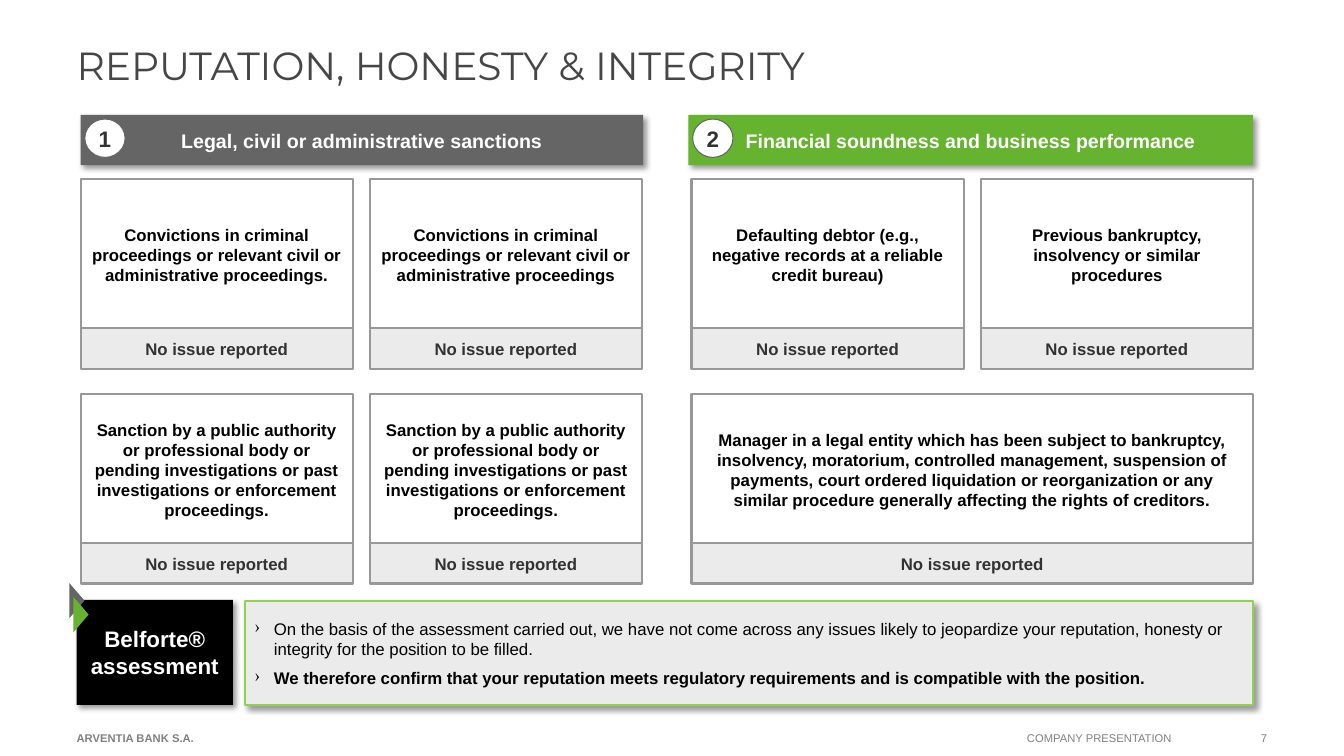
from lxml.etree import SubElement
from pptx import Presentation
from pptx.dml.color import RGBColor
from pptx.enum.shapes import MSO_SHAPE
from pptx.enum.text import MSO_ANCHOR, PP_ALIGN
from pptx.oxml.ns import qn
from pptx.util import Pt

WHITE = RGBColor(0xFF, 0xFF, 0xFF)
BLACK = RGBColor(0, 0, 0)
INK = RGBColor(0x32, 0x32, 0x32)
TITLE = RGBColor(0x46, 0x46, 0x46)
SLATE = RGBColor(0x65, 0x65, 0x65)
GREY = RGBColor(0x80, 0x80, 0x80)
EDGE = RGBColor(0x98, 0x98, 0x98)
PALE = RGBColor(0xEB, 0xEB, 0xEB)
GREEN = RGBColor(0x65, 0xB3, 0x2E)
LIME = RGBColor(0x92, 0xD0, 0x50)

CARD, GAP = 194.4, 12.2
WIDE = 2 * CARD + GAP
BODY, STRIP = 108, 28.8
PITCH = 153.5

CONVICT = ("Convictions in criminal proceedings or relevant civil or "
           "administrative proceedings")
SANCTION = ("Sanction by a public authority or professional body or pending "
            "investigations or past investigations or enforcement proceedings.")
LEFT = [[CONVICT + ".", CONVICT], [SANCTION, SANCTION]]
RIGHT = [
    ["Defaulting debtor (e.g., negative records at a reliable credit bureau)",
     "Previous bankruptcy, insolvency or similar procedures"],
    ["Manager in a legal entity which has been subject to bankruptcy, "
     "insolvency, moratorium, controlled management, suspension of payments, "
     "court ordered liquidation or reorganization or any similar procedure "
     "generally affecting the rights of creditors."],
]
FINDINGS = [
    ("On the basis of the assessment carried out, we have not come across any "
     "issues likely to jeopardize your reputation, honesty or integrity for "
     "the position to be filled.", False),
    ("We therefore confirm that your reputation meets regulatory requirements "
     "and is compatible with the position.", True),
]


def inset(frame, left, top, right, bottom):
    frame.margin_left, frame.margin_top = Pt(left), Pt(top)
    frame.margin_right, frame.margin_bottom = Pt(right), Pt(bottom)


def write(para, text, size, color, bold=False, face="Arial"):
    run = para.add_run()
    run.text = text
    font = run.font
    font.name, font.size, font.bold = face, Pt(size), bold
    font.color.rgb = color


def shade(shape):
    """Give the shape a soft shadow to the lower right."""
    props = shape.element.spPr
    props.remove(props.find(qn("a:effectLst")))
    cast = SubElement(SubElement(props, qn("a:effectLst")), qn("a:outerShdw"),
                      blurRad=str(Pt(4)), dist=str(Pt(3)), dir="2700000",
                      algn="tl", rotWithShape="0")
    tint = SubElement(cast, qn("a:srgbClr"), val="000000")
    SubElement(tint, qn("a:alpha"), val="40000")


def block(slide, box, fill, line=None, width=1.5, kind=MSO_SHAPE.RECTANGLE):
    shape = slide.shapes.add_shape(kind, *map(Pt, box))
    shape.shadow.inherit = False
    shape.fill.solid()
    shape.fill.fore_color.rgb = fill
    if line is None:
        shape.line.fill.background()
    else:
        shape.line.color.rgb = line
        shape.line.width = Pt(width)
    shape.text_frame.word_wrap = True
    shape.text_frame.vertical_anchor = MSO_ANCHOR.MIDDLE
    return shape


def label(shape, text, size, color):
    para = shape.text_frame.paragraphs[0]
    para.alignment = PP_ALIGN.CENTER
    write(para, text, size, color, True)
    return para


def note(slide, box, text, size, color, pad, bold=False, face="Arial",
         anchor=MSO_ANCHOR.MIDDLE, align=PP_ALIGN.LEFT):
    frame = slide.shapes.add_textbox(*map(Pt, box)).text_frame
    frame.word_wrap = True
    frame.vertical_anchor = anchor
    inset(frame, *pad)
    frame.paragraphs[0].alignment = align
    write(frame.paragraphs[0], text, size, color, bold, face)


def header(slide, box, number, text, fill):
    left, top = box[:2]
    bar = block(slide, box, fill)
    shade(bar)
    label(bar, text, 14, WHITE).line_spacing = 1.07
    badge = block(slide, (left + 3, top + 3, 28.8, 27.4), WHITE, SLATE, 0.75,
                  MSO_SHAPE.OVAL)
    inset(badge.text_frame, 0, 0, 0, 0)
    label(badge, number, 16, INK)


def card(slide, left, top, width, text):
    """Place a criterion with its result strip below."""
    body = block(slide, (left, top, width, BODY), WHITE, EDGE)
    label(body, text, 12, BLACK)
    strip = block(slide, (left, top + BODY - 1.5, width, STRIP), PALE, EDGE)
    label(strip, "No issue reported", 12, INK)


def grid(slide, left, top, rows):
    for i, row in enumerate(rows):
        width = WIDE if len(row) == 1 else CARD
        for j, text in enumerate(row):
            card(slide, left + j * (CARD + GAP), top + i * PITCH, width, text)


def verdict(slide, left, top):
    panel = block(slide, (left + 120.2, top + 1, 720, 74.2), PALE, LIME)
    shade(panel)
    frame = panel.text_frame
    for i, (text, bold) in enumerate(FINDINGS):
        para = frame.add_paragraph() if i else frame.paragraphs[0]
        props = para._p.get_or_add_pPr()
        props.set("marL", str(Pt(13.7)))
        props.set("indent", str(-Pt(13.7)))
        tint = SubElement(props, qn("a:buClr"))
        SubElement(tint, qn("a:srgbClr"), val=str(BLACK))
        SubElement(props, qn("a:buChar"), char="›")
        para.alignment = PP_ALIGN.LEFT
        if i:
            para.space_before = Pt(6)
        write(para, text, 12, BLACK, bold)

    tag = block(slide, (left, top, 111.6, 74.9), BLACK)
    shade(tag)
    inset(tag.text_frame, 2, 2, 2, 2)
    label(tag, "Belforte® assessment", 16, WHITE)
    for across, down, fill in ((-12.4, -5, SLATE), (-9.4, 5, GREEN)):
        arrow = block(slide, (left + across, top + down, 25.2, 10.8), fill,
                      kind=MSO_SHAPE.ISOSCELES_TRIANGLE)
        arrow.rotation = 90


def footer(slide, top):
    note(slide, (54.7, top, 162.7, 26), "ARVENTIA BANK S.A.", 8, GREY,
         (0, 3.6, 7.2, 3.6), bold=True)
    note(slide, (726.5, top, 129.6, 26), "COMPANY PRESENTATION", 8, GREY,
         (7.2, 3.6, 7.2, 3.6))
    note(slide, (880.6, top, 24.5, 26), "7", 8, GREY, (0, 3.6, 0, 3.6),
         align=PP_ALIGN.RIGHT)


def main():
    deck = Presentation()
    deck.slide_width, deck.slide_height = Pt(960), Pt(540)
    slide = deck.slides.add_slide(deck.slide_layouts[6])
    footer(slide, 514)
    note(slide, (54.7, 29.5, 850.3, 69.8), "REPUTATION, HONESTY & INTEGRITY",
         28, TITLE, (0, 0, 0, 0), face="Montserrat", anchor=MSO_ANCHOR.TOP)
    header(slide, (57.6, 82, 401.8, 36), "1",
           "Legal, civil or administrative sanctions", SLATE)
    header(slide, (491.8, 82, 403.2, 36), "2",
           "Financial soundness and business performance", GREEN)
    grid(slide, 57.6, 128, LEFT)
    grid(slide, 494, 128, RIGHT)
    verdict(slide, 54.7, 428.6)
    deck.save("out.pptx")


if __name__ == "__main__":
    main()
